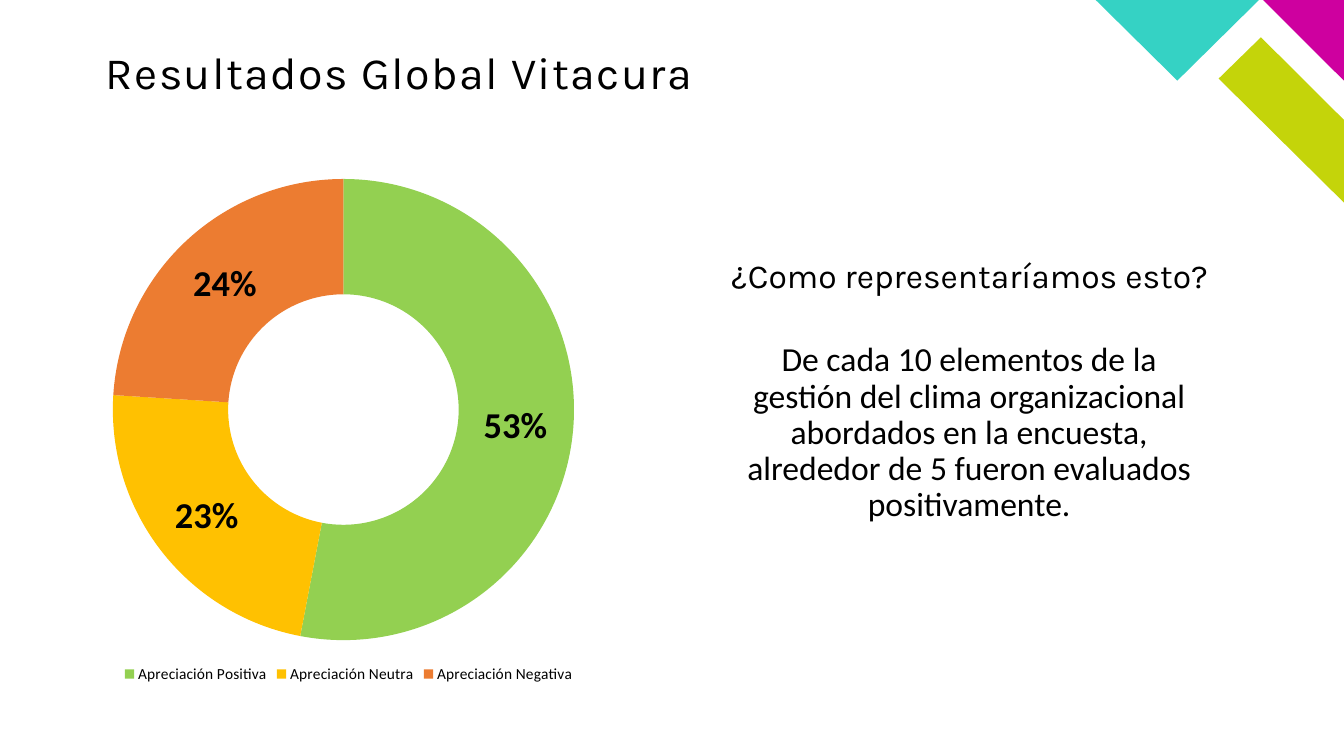
import dataclasses

import lxml.etree
import pptx
import pptx.chart.data
import pptx.dml.color
import pptx.enum.chart
import pptx.enum.text
import pptx.oxml.ns
import pptx.util

CELL = pptx.util.Inches(1 / 3)
COLUMNS, ROWS = 40, 22.5


@dataclasses.dataclass(frozen=True)
class Theme:
    ink: str = "000000"
    teal: str = "35D2C4"
    magenta: str = "CE009F"
    lime: str = "C4D40A"
    positive: str = "93D051"
    neutral: str = "FFC101"
    negative: str = "EC7C31"
    heading_font: str = "Karla"
    body_font: str = "Calibri"
    title_size: int = 32
    text_size: int = 24
    value_size: int = 26
    legend_size: int = 11


THEME = Theme()


def grid(*cells):
    return [pptx.util.Emu(round(cell * CELL)) for cell in cells]


def rgb(color):
    return pptx.dml.color.RGBColor.from_string(color)


def style_font(font, size, name=THEME.body_font, bold=False):
    font.name = name
    font.size = pptx.util.Pt(size)
    font.bold = bold
    font.color.rgb = rgb(THEME.ink)


def write(holder, text, size=THEME.text_size, font=THEME.body_font, align="CENTER",
          anchor="MIDDLE", inset=(0.1, 0.05), spacing=0):
    frame = holder.text_frame
    frame.word_wrap = True
    frame.auto_size = pptx.enum.text.MSO_AUTO_SIZE.NONE
    frame.vertical_anchor = getattr(pptx.enum.text.MSO_ANCHOR, anchor)
    frame.margin_left = frame.margin_right = pptx.util.Inches(inset[0])
    frame.margin_top = frame.margin_bottom = pptx.util.Inches(inset[1])
    paragraph = frame.paragraphs[0]
    paragraph.alignment = getattr(pptx.enum.text.PP_ALIGN, align)
    paragraph.line_spacing = 0.9
    paragraph.space_before = pptx.util.Pt(0)
    run = paragraph.add_run()
    run.text = text
    style_font(run.font, size, font)
    if spacing:
        run.font._element.set("spc", str(spacing * 100))


def add_title(slide, text, *box):
    title = slide.shapes.title
    title.left, title.top, title.width, title.height = grid(*box)
    write(title, text, size=THEME.title_size, font=THEME.heading_font,
          align="LEFT", anchor="TOP", inset=(0, 0), spacing=1)


def add_text(slide, text, *box, **text_format):
    write(slide.shapes.add_textbox(*grid(*box)), text, **text_format)


def add_corner_piece(slide, color, *corners):
    start, *others = [grid(*corner) for corner in corners]
    outline = slide.shapes.build_freeform(*start)
    outline.add_line_segments(others, close=True)
    piece = outline.convert_to_shape()
    piece.shadow.inherit = False
    piece.fill.solid()
    piece.fill.fore_color.rgb = rgb(color)
    piece.line.fill.background()


def place_plot(chart, **shares):
    plot_area = chart._chartSpace.chart.plotArea
    tag = pptx.oxml.ns.qn
    for previous in plot_area.findall(tag("c:layout")):
        plot_area.remove(previous)
    layout = lxml.etree.Element(tag("c:layout"))
    manual = lxml.etree.SubElement(layout, tag("c:manualLayout"))
    settings = {"layoutTarget": "inner", "xMode": "edge", "yMode": "edge", **shares}
    for name, value in settings.items():
        lxml.etree.SubElement(manual, tag(f"c:{name}")).set("val", str(value))
    plot_area.insert(0, layout)


def add_doughnut(slide, results, *box):
    data = pptx.chart.data.CategoryChartData(number_format="0%")
    data.categories = [name for name, _, _ in results]
    data.add_series("Resultados", [share for _, share, _ in results])
    chart = slide.shapes.add_chart(
        pptx.enum.chart.XL_CHART_TYPE.DOUGHNUT, *grid(*box), data).chart
    style_font(chart.font, THEME.legend_size)
    chart.has_title = False
    chart.has_legend = True
    chart.legend.position = pptx.enum.chart.XL_LEGEND_POSITION.BOTTOM
    chart.legend.include_in_layout = False
    style_font(chart.legend.font, THEME.legend_size)
    doughnut = chart.plots[0]
    doughnut.vary_by_categories = True
    series = doughnut.series[0]
    for index, (_, _, color) in enumerate(results):
        slice_format = series.points[index].format
        slice_format.fill.solid()
        slice_format.fill.fore_color.rgb = rgb(color)
        slice_format.line.fill.background()
    labels = series.data_labels
    labels.show_value = True
    labels.show_percentage = False
    labels.number_format = "0%"
    labels.number_format_is_linked = False
    style_font(labels.font, THEME.value_size, bold=True)
    place_plot(chart, x=0.05, y=0.03, w=0.88, h=0.88)


def main():
    deck = pptx.Presentation()
    deck.slide_width, deck.slide_height = grid(COLUMNS, ROWS)
    slide = deck.slides.add_slide(deck.slide_layouts[5])

    add_corner_piece(slide, THEME.lime, (COLUMNS, 6.03), (COLUMNS, 3.57),
                     (37.53, 1.11), (36.27, 2.34))
    add_corner_piece(slide, THEME.magenta, (COLUMNS, 2.4), (COLUMNS, 0), (37.59, 0))
    add_corner_piece(slide, THEME.teal, (32.61, 0), (35.04, 2.4), (37.47, 0))

    add_title(slide, "Resultados Global Vitacura", 3.15, 1.5, 30, 2)
    add_text(slide, "De cada 10 elementos de la gestión del clima organizacional "
             "abordados en la encuesta, alrededor de 5 fueron evaluados positivamente.",
             21.54, 9.21, 14.61, 7.38)
    add_text(slide, "¿Como representaríamos esto?", 21.36, 6.96, 15, 2.61,
             font=THEME.heading_font)
    add_doughnut(slide, [
        ("Apreciación Positiva", 0.53, THEME.positive),
        ("Apreciación Neutra", 0.23, THEME.neutral),
        ("Apreciación Negativa", 0.24, THEME.negative),
    ], 2.58, 4.86, 15.6, 15.6)

    deck.save("out.pptx")


if __name__ == "__main__":
    main()
